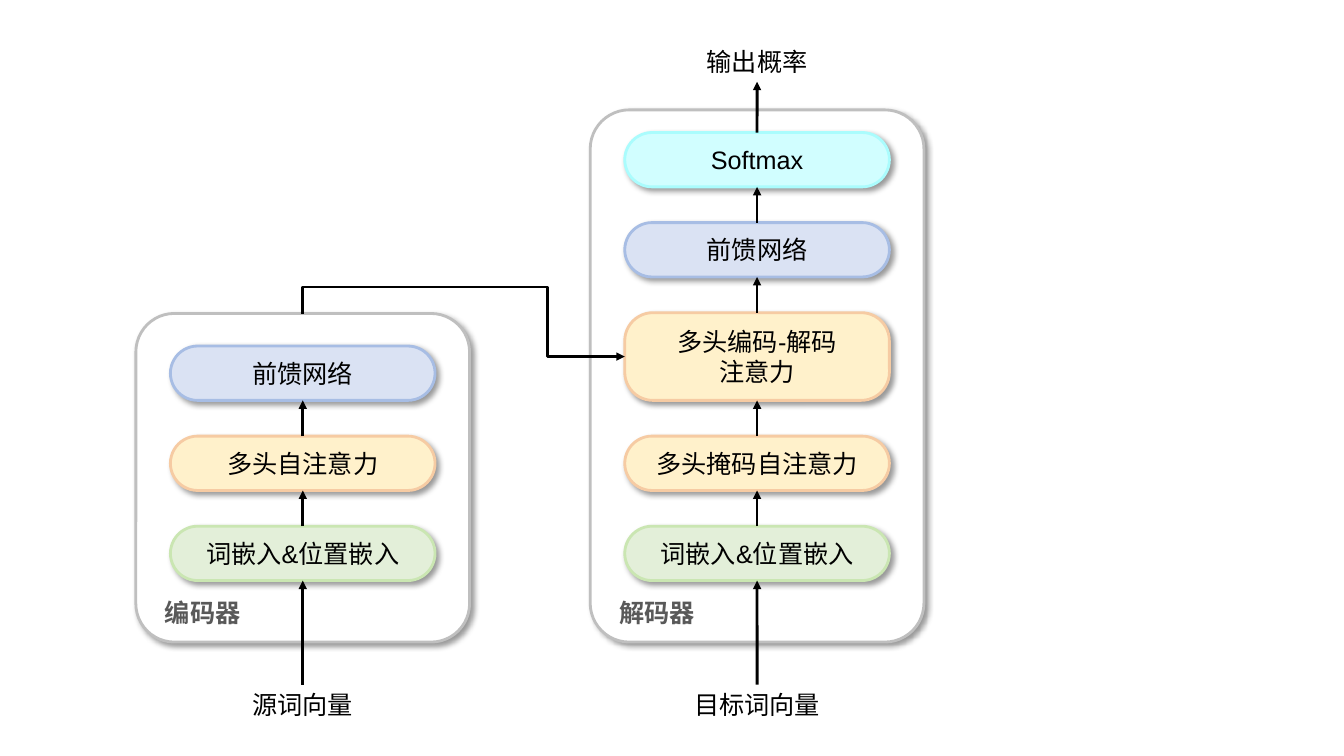
from dataclasses import dataclass

from lxml.etree import SubElement
from pptx import Presentation
from pptx.dml.color import RGBColor
from pptx.enum.shapes import MSO_CONNECTOR as Link, MSO_SHAPE as Shape
from pptx.enum.text import MSO_ANCHOR as Anchor, MSO_AUTO_SIZE as AutoSize, PP_ALIGN as Align
from pptx.oxml.ns import qn
from pptx.util import Cm, Pt


@dataclass(frozen=True)
class Theme:
    font: str = "Arial"
    size: int = 18
    line: int = 2
    ink: str = "000000"
    caption: str = "595959"
    panel: tuple = ("FFFFFF", "BFBFBF")
    embed: tuple = ("E3EFD9", "CAE6B2")
    attention: tuple = ("FFF1CB", "F6CBA3")
    feed: tuple = ("DAE2F3", "A7BDE4")
    softmax: tuple = ("D1FEFF", "AAFCFD")


THEME = Theme()
TOP, BOTTOM = 0, 2
BOX_W, BOX_H, TALL_H, GAP = 6.67, 1.37, 2.21, 0.9
STACK_BOTTOM = 14.63
PANEL_W, PANEL_BOTTOM = 8.41, 16.18
TEXT_H, INPUT_TOP, OUTPUT_TOP = 1.02, 17.25, 1.04
ENCODER_X, DECODER_X = 7.63, 19.08
ENCODER_TOP, DECODER_TOP = 7.9, 2.77

ENCODER = [
    (["词嵌入&位置嵌入"], THEME.embed),
    (["多头自注意力"], THEME.attention),
    (["前馈网络"], THEME.feed),
]
DECODER = [
    (["词嵌入&位置嵌入"], THEME.embed),
    (["多头掩码自注意力"], THEME.attention),
    (["多头编码-解码", "注意力"], THEME.attention),
    (["前馈网络"], THEME.feed),
    (["Softmax"], THEME.softmax),
]


def rgb(value):
    return RGBColor.from_string(value)


def write(tf, lines, color=THEME.ink, bold=False, align=Align.CENTER):
    tf.word_wrap = True
    for i, line in enumerate(lines):
        p = tf.add_paragraph() if i else tf.paragraphs[0]
        p.alignment = align
        r = p.add_run()
        r.text = line
        r.font.name = THEME.font
        r.font.size = Pt(THEME.size)
        r.font.bold = bold
        r.font.color.rgb = rgb(color)


def add_shadow(sp):
    sp.shadow.inherit = False
    effects = sp.element.spPr.find(qn("a:effectLst"))
    shadow = SubElement(effects, qn("a:outerShdw"), blurRad=str(Pt(4)), dist=str(Pt(3)),
                        dir="2700000", algn="tl", rotWithShape="0")
    color = SubElement(shadow, qn("a:srgbClr"), val=THEME.ink)
    SubElement(color, qn("a:alpha"), val="40000")


def add_rounded(s, x, y, w, h, radius, colors):
    sp = s.shapes.add_shape(Shape.ROUNDED_RECTANGLE, Cm(x), Cm(y), Cm(w), Cm(h))
    sp.adjustments[0] = radius
    fill, line = colors
    sp.fill.solid()
    sp.fill.fore_color.rgb = rgb(fill)
    sp.line.color.rgb = rgb(line)
    sp.line.width = Pt(THEME.line)
    add_shadow(sp)
    return sp


def add_text(s, x, y, w, text, **style):
    sp = s.shapes.add_textbox(Cm(x), Cm(y), Cm(w), Cm(TEXT_H))
    write(sp.text_frame, [text], **style)
    sp.text_frame.auto_size = AutoSize.SHAPE_TO_FIT_TEXT
    return sp


def add_centred_text(s, center, y, text):
    w = 5.4
    return add_text(s, center - w / 2, y, w, text)


def add_panel(s, center, top, caption):
    left = center - PANEL_W / 2
    panel = add_rounded(s, left, top, PANEL_W, PANEL_BOTTOM - top, 0.117, THEME.panel)
    add_text(s, left + 0.48, 14.92, 2.97, caption,
             color=THEME.caption, bold=True, align=Align.LEFT)
    return panel


def add_stack(s, center, layers):
    boxes = []
    bottom = STACK_BOTTOM
    for lines, colors in layers:
        h = TALL_H if len(lines) > 1 else BOX_H
        radius = 0.321 if len(lines) > 1 else 0.5
        sp = add_rounded(s, center - BOX_W / 2, bottom - h, BOX_W, h, radius, colors)
        sp.text_frame.vertical_anchor = Anchor.MIDDLE
        write(sp.text_frame, lines)
        boxes.append(sp)
        bottom -= h + GAP
    return boxes


def style_arrow(cxn):
    cxn.line.color.rgb = rgb(THEME.ink)
    cxn.line.width = Pt(THEME.line)
    spPr = cxn.element.spPr
    SubElement(spPr.find(qn("a:ln")), qn("a:tailEnd"), type="triangle")
    SubElement(spPr, qn("a:effectLst"))


def add_arrows_up(s, chain):
    for lower, upper in zip(chain, chain[1:]):
        cxn = s.shapes.add_connector(Link.STRAIGHT, 0, 0, 0, 0)
        cxn.begin_connect(lower, TOP)
        cxn.end_connect(upper, BOTTOM)
        style_arrow(cxn)


def add_cross_arrow(s, panel, target):
    x1, y1 = panel.left + panel.width // 2, panel.top
    x2, y2 = target.left, target.top + target.height // 2
    w, h = y2 - y1, x2 - x1
    left, top = (x1 + x2 - w) // 2, (y1 + y2 - h) // 2
    cxn = s.shapes.add_connector(Link.ELBOW, left, top, left + w, top + h)
    xfrm = cxn.element.spPr.find(qn("a:xfrm"))
    xfrm.set("rot", "16200000")
    xfrm.set("flipH", "1")
    geom = cxn.element.spPr.find(qn("a:prstGeom"))
    geom.set("prst", "bentConnector4")
    guides = geom.find(qn("a:avLst"))
    for name, value in (("adj1", -61500), ("adj2", 76000)):
        SubElement(guides, qn("a:gd"), name=name, fmla=f"val {value}")
    style_arrow(cxn)


def main():
    prs = Presentation()
    prs.slide_width, prs.slide_height = Cm(33.87), Cm(19.05)
    s = prs.slides.add_slide(prs.slide_layouts[6])

    panel = add_panel(s, ENCODER_X, ENCODER_TOP, "编码器")
    add_panel(s, DECODER_X, DECODER_TOP, "解码器")
    encoder = add_stack(s, ENCODER_X, ENCODER)
    decoder = add_stack(s, DECODER_X, DECODER)
    source = add_centred_text(s, ENCODER_X, INPUT_TOP, "源词向量")
    target = add_centred_text(s, DECODER_X, INPUT_TOP, "目标词向量")
    output = add_centred_text(s, DECODER_X, OUTPUT_TOP, "输出概率")

    add_arrows_up(s, [source, *encoder])
    add_arrows_up(s, [target, *decoder, output])
    add_cross_arrow(s, panel, decoder[2])
    prs.save("out.pptx")


if __name__ == "__main__":
    main()
